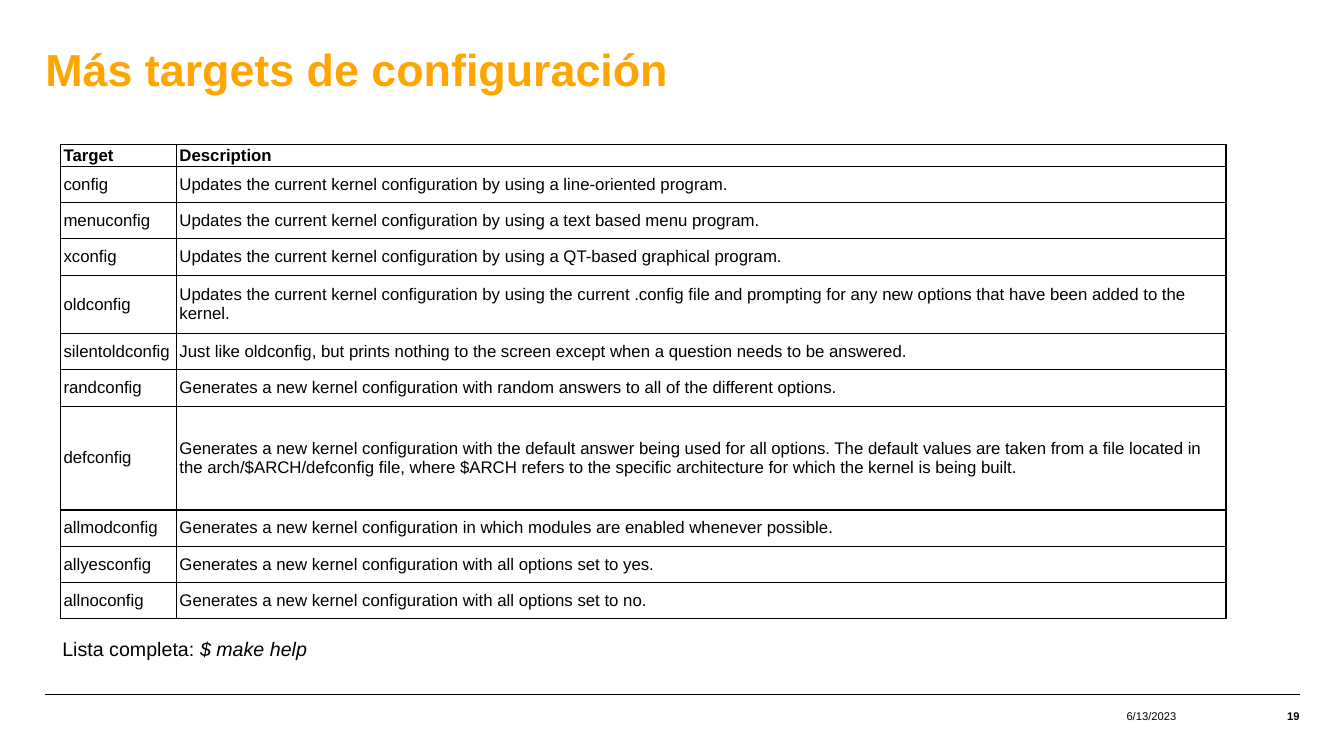
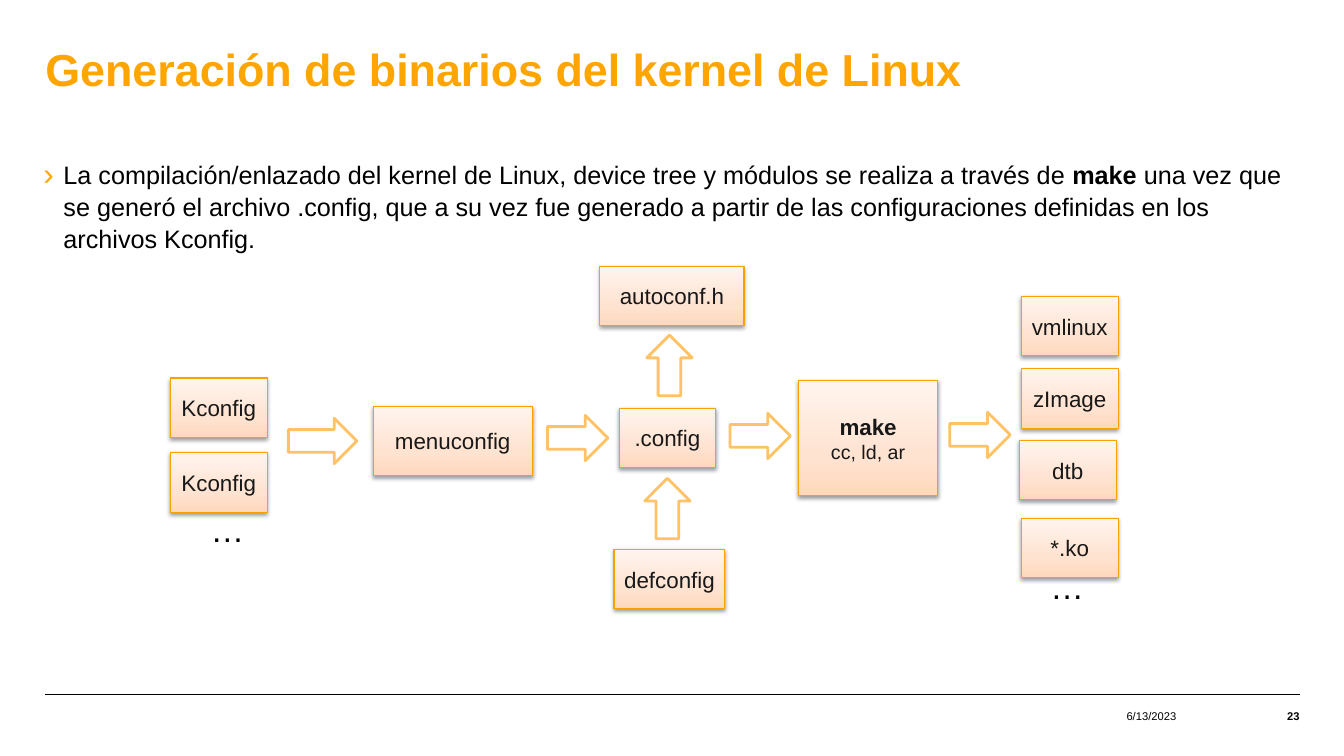
from dataclasses import dataclass

from lxml import etree
from pptx import Presentation
from pptx import util as u
from pptx.dml.color import RGBColor
from pptx.enum import shapes, text
from pptx.oxml import ns


@dataclass(frozen=True)
class Theme:
    font: str = "Arial"
    ink: str = "000000"
    paper: str = "FFFFFF"
    head: str = "FFA500"
    dark: str = "181818"
    edge: str = "F9A100"
    arrow: str = "FFC266"
    grad: tuple = ((0, "FFD8BD"), (35, "FFE3D1"), (100, "FFF4EE"))
    big: int = 32
    dots: int = 24
    body: int = 18
    node: int = 16
    note: int = 14
    cell: int = 12
    foot: int = 8


T = Theme()
MID = text.MSO_ANCHOR.MIDDLE
CENTER = text.PP_ALIGN.CENTER
RIGHT = text.PP_ALIGN.RIGHT

ROWS = [
    ("Target", "Description", 0.14),
    ("config", "Updates the current kernel configuration by using a line-oriented program.", 0.36),
    ("menuconfig", "Updates the current kernel configuration by using a text based menu program.", 0.36),
    ("xconfig", "Updates the current kernel configuration by using a QT-based graphical program.", 0.36),
    ("oldconfig", "Updates the current kernel configuration by using the current .config file "
     "and prompting for any new options that have been added to the kernel.", 0.58),
    ("silentoldconfig", "Just like oldconfig, but prints nothing to the screen except "
     "when a question needs to be answered.", 0.36),
    ("randconfig", "Generates a new kernel configuration with random answers "
     "to all of the different options.", 0.36),
    ("defconfig", "Generates a new kernel configuration with the default answer being used "
     "for all options. The default values are taken from a file located in the "
     "arch/$ARCH/defconfig file, where $ARCH refers to the specific architecture "
     "for which the kernel is being built.", 1.03),
    ("allmodconfig", "Generates a new kernel configuration in which modules are enabled "
     "whenever possible.", 0.36),
    ("allyesconfig", "Generates a new kernel configuration with all options set to yes.", 0.36),
    ("allnoconfig", "Generates a new kernel configuration with all options set to no.", 0.36),
]


def rgb(code):
    return RGBColor.from_string(code)


def inch(*nums):
    return [u.Inches(n) for n in nums]


def sub(node, tag, **atts):
    return etree.SubElement(node, ns.qn(tag), {k: str(v) for k, v in atts.items()})


def add_run(para, words, size, color=T.ink, bold=False, italic=False):
    run = para.add_run()
    run.text = words
    font = run.font
    font.name, font.size = T.font, u.Pt(size)
    font.bold, font.italic = bold, italic
    font.color.rgb = rgb(color)


def inset(frame, pads):
    (frame.margin_left, frame.margin_top,
     frame.margin_right, frame.margin_bottom) = inch(*pads)


def add_text(slide, box, pads=(0.1, 0.05, 0.1, 0.05), wrap=True):
    """Add an empty text box and return its frame and first paragraph."""
    frame = slide.shapes.add_textbox(*inch(*box)).text_frame
    frame.word_wrap = wrap
    inset(frame, pads)
    return frame, frame.paragraphs[0]


# Shared parts: title, rule, date and number
def add_slide(deck, title, num):
    slide = deck.slides.add_slide(deck.slide_layouts[6])
    left, right, base = 0.45, 12.89, 6.89
    rule = slide.shapes.add_connector(
        shapes.MSO_CONNECTOR.STRAIGHT, *inch(left, base, right, base))
    rule.line.color.rgb = rgb(T.ink)
    rule.line.width = u.Pt(0.35)
    sub(rule._element.spPr, "a:effectLst")

    para = add_text(slide, (left, 0.42, right - left, 1.02), (0, 0.03, 0.1, 0))[1]
    para.line_spacing = 0.95
    add_run(para, title, T.big, T.head, bold=True)

    for words, end, wide, bold in (("6/13/2023", 11.67, 1.06, False),
                                   (num, right, 0.55, True)):
        frame, para = add_text(slide, (end - wide, 7.02, wide, 0.16), (0, 0, 0, 0))
        frame.vertical_anchor = MID
        para.alignment = RIGHT
        add_run(para, words, T.foot, bold=bold)
    return slide


# Table of targets
def add_border(cell):
    props = cell._tc.get_or_add_tcPr()
    for spot, side in enumerate(("a:lnL", "a:lnR", "a:lnT", "a:lnB")):
        line = sub(props, side, w=u.Pt(1))
        sub(sub(line, "a:solidFill"), "a:srgbClr", val=T.ink)
        props.insert(spot, line)


def add_grid(slide, box):
    grid = slide.shapes.add_table(len(ROWS), 2, *inch(*box)).table
    grid.first_row = grid.horz_banding = False
    first = 1.15
    for col, wide in zip(grid.columns, (first, box[2] - first)):
        col.width = u.Inches(wide)
    for r, (*words, high) in enumerate(ROWS):
        grid.rows[r].height = u.Inches(high)
        for c, word in enumerate(words):
            cell = grid.cell(r, c)
            cell.fill.background()
            cell.vertical_anchor = MID
            inset(cell, (0.03, 0.01, 0.03, 0.01))
            add_border(cell)
            add_run(cell.text_frame.paragraphs[0], word, T.cell, bold=r == 0)


# Bulleted paragraph
def add_bullet(slide, box, runs):
    para = add_text(slide, box, (0, 0.02, 0, 0.02))[1]
    para.space_after = u.Pt(6)
    para.line_spacing = 1.05
    props = para._p.get_or_add_pPr()
    props.set("marL", str(u.Inches(0.2)))
    props.set("indent", str(-u.Inches(0.2)))
    sub(sub(props, "a:buClr"), "a:srgbClr", val=T.head)
    sub(props, "a:buSzPct", val=125000)
    sub(props, "a:buFont", typeface=T.font)
    sub(props, "a:buChar", char="›")
    for words, bold in runs:
        add_run(para, words, T.body, bold=bold)


# Parts of the build flow
def add_node(slide, box, name, tools=None):
    node = slide.shapes.add_shape(shapes.MSO_SHAPE.RECTANGLE, *inch(*box))
    node.fill.gradient()
    node.fill.gradient_angle = 90
    props = node._element.spPr
    stops = props.find(".//" + ns.qn("a:gsLst"))
    for stop in list(stops):
        stops.remove(stop)
    for spot, code in T.grad:
        sub(sub(stops, "a:gs", pos=spot * 1000), "a:srgbClr", val=code)
    node.line.color.rgb = rgb(T.edge)
    node.line.width = u.Pt(0.75)
    node.shadow.inherit = False
    shade = sub(props.find(ns.qn("a:effectLst")), "a:outerShdw", blurRad=u.Pt(3.1),
                dist=u.Pt(1.6), dir=5400000, rotWithShape=0)
    sub(sub(shade, "a:srgbClr", val=T.ink), "a:alpha", val=38000)

    frame = node.text_frame
    frame.word_wrap = True
    frame.vertical_anchor = MID
    inset(frame, (0.05, 0.05, 0.05, 0.05))
    para = frame.paragraphs[0]
    para.alignment = CENTER
    add_run(para, name, T.node, T.dark, bold=bool(tools))
    if tools:
        para = frame.add_paragraph()
        para.alignment = CENTER
        add_run(para, tools, T.note, T.dark)


def add_arrow(slide, box, turn=0):
    arrow = slide.shapes.add_shape(shapes.MSO_SHAPE.RIGHT_ARROW, *inch(*box))
    arrow.rotation = turn
    arrow.shadow.inherit = False
    arrow.fill.solid()
    arrow.fill.fore_color.rgb = rgb(T.paper)
    arrow.line.color.rgb = rgb(T.arrow)
    arrow.line.width = u.Pt(2)


def add_flow(slide, left, top):
    wide, high = 0.96, 0.59
    nodes = [
        # Inputs
        (0, 1.11, wide, high, "Kconfig"),
        (0, 1.85, wide, high, "Kconfig"),
        # Configuration
        (2.01, 1.39, 1.58, 0.69, "menuconfig"),
        (4.45, 1.41, wide, high, ".config"),
        (4.4, 2.81, 1.1, high, "defconfig"),
        (4.26, 0, 1.43, high, "autoconf.h"),
        # Build
        (6.23, 1.13, 1.38, 1.15, "make", "cc, ld, ar"),
        # Outputs
        (8.44, 0.3, wide, high, "vmlinux"),
        (8.44, 1.02, wide, high, "zImage"),
        (8.42, 1.73, wide, high, "dtb"),
        (8.44, 2.5, wide, high, "*.ko"),
    ]
    for x, y, w, h, *words in nodes:
        add_node(slide, (left + x, top + y, w, h), *words)

    arrows = [(1.17, 1.51, 0.68, 0), (3.74, 1.48, 0.6, 0), (5.55, 1.46, 0.6, 0),
              (7.73, 1.45, 0.6, 0), (4.63, 2.18, 0.6, 270), (4.65, 0.76, 0.6, 270)]
    for x, y, w, turn in arrows:
        add_arrow(slide, (left + x, top + y, w, 0.45), turn)

    for x, y in ((0.3, 2.36), (8.63, 2.93)):
        para = add_text(slide, (left + x, top + y, 0.54, 0.5), wrap=False)[1]
        add_run(para, "…", T.dots)


# Slides
def add_targets(deck):
    slide = add_slide(deck, "Más targets de configuración", "19")
    add_grid(slide, (0.6, 1.43, 11.56, 4.73))
    para = add_text(slide, (0.52, 6.27, 6.67, 0.34))[1]
    add_run(para, "Lista completa: ", T.note)
    add_run(para, "$ make help", T.note, italic=True)


def add_build(deck):
    slide = add_slide(deck, "Generación de binarios del kernel de Linux", "23")
    add_bullet(slide, (0.43, 1.55, 12.44, 5), [
        ("La compilación/enlazado del kernel de Linux, device tree y módulos "
         "se realiza a través de ", False),
        ("make", True),
        (" una vez que se generó el archivo .config, que a su vez fue generado "
         "a partir de las configuraciones definidas en los archivos Kconfig.", False),
    ])
    add_flow(slide, 1.69, 2.64)


def main():
    deck = Presentation()
    deck.slide_width, deck.slide_height = inch(13.33, 7.5)
    add_targets(deck)
    add_build(deck)
    deck.save("out.pptx")


if __name__ == "__main__":
    main()
